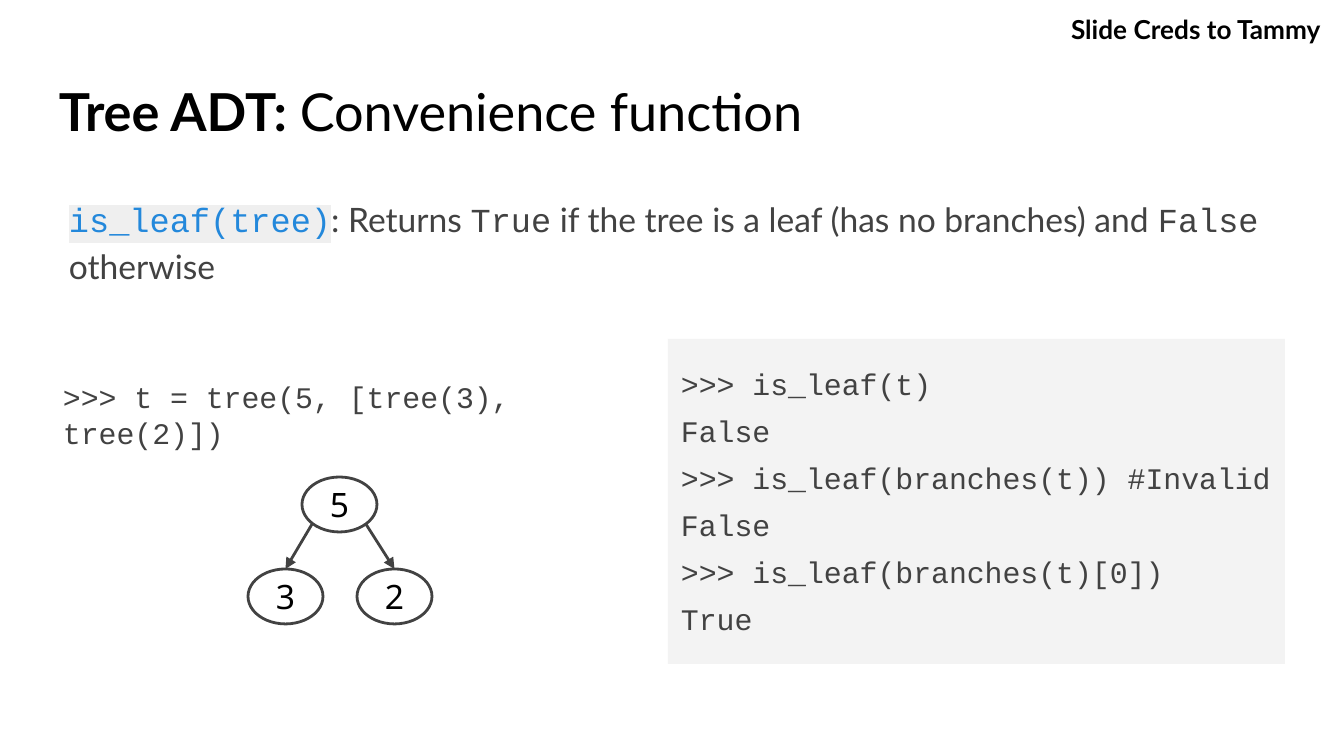
"""Build a slide that explains the is_leaf function of the tree ADT."""

from dataclasses import dataclass
from math import cos, pi, sin

from lxml import etree
from pptx import Presentation
from pptx.dml.color import RGBColor
from pptx.enum.shapes import MSO_CONNECTOR, MSO_SHAPE
from pptx.enum.text import MSO_ANCHOR, MSO_AUTO_SIZE, PP_ALIGN
from pptx.oxml.ns import qn
from pptx.shapes.autoshape import Shape
from pptx.slide import Slide
from pptx.util import Emu, Pt

ELLIPSE, RECTANGLE = MSO_SHAPE.OVAL, MSO_SHAPE.RECTANGLE
STRAIGHT = MSO_CONNECTOR.STRAIGHT
TOP, MIDDLE = MSO_ANCHOR.TOP, MSO_ANCHOR.MIDDLE
LEFT, CENTER = PP_ALIGN.LEFT, PP_ALIGN.CENTER
NO_AUTOFIT = MSO_AUTO_SIZE.NONE
TOP_SITE = 0
EMU_PER_PX = 914400 / 134.4
INSET = 13
NODE_WIDTH, NODE_HEIGHT = 75, 55


@dataclass(frozen=True)
class Theme:
    """Colours, fonts and type sizes of the slide."""

    black: str = "000000"
    gray: str = "424242"
    blue: str = "2388DB"
    panel: str = "F3F3F3"
    marker: str = "EFEFEF"
    sans: str = "Lato"
    mono: str = "Courier New"
    label: str = "Noto Sans"
    title_size: int = 28
    body_size: int = 18
    code_size: int = 16
    credit_size: int = 14
    line_width: float = 1.5


THEME = Theme()


@dataclass(frozen=True)
class Span:
    """A stretch of text in one format."""

    text: str
    font: str = THEME.sans
    color: str = THEME.gray
    size: int = THEME.body_size
    bold: bool = False
    highlight: str = ""


@dataclass(frozen=True)
class Box:
    """A rectangle in px."""

    left: int
    top: int
    width: int
    height: int

    def emu(self) -> tuple[Emu, Emu, Emu, Emu]:
        """Return the rectangle in EMU."""
        return px(self.left), px(self.top), px(self.width), px(self.height)


@dataclass(frozen=True)
class Node:
    """A tree node with its centre in px."""

    label: str
    x: int
    y: int


ROOT = Node("5", 339, 504)
LEAVES = (Node("3", 285, 596), Node("2", 394, 596))
TITLE = (
    Span("Tree ADT: ", color=THEME.black, size=THEME.title_size, bold=True),
    Span("Convenience function", color=THEME.black, size=THEME.title_size),
)
DEFINITION = (
    Span("is_leaf(tree)", font=THEME.mono, color=THEME.blue, highlight=THEME.marker),
    Span(": Returns "),
    Span("True", font=THEME.mono),
    Span(" if the tree is a leaf (has no branches) and "),
    Span("False", font=THEME.mono),
    Span(" otherwise"),
)
CREDIT = Span("Slide Creds to Tammy", color=THEME.black, size=THEME.credit_size, bold=True)
SETUP = (">>> t = tree(5, [tree(3), tree(2)])",)
SESSION = (
    ">>> is_leaf(t)",
    "False",
    ">>> is_leaf(branches(t)) #Invalid",
    "False",
    ">>> is_leaf(branches(t)[0])",
    "True",
)


def px(length: float) -> Emu:
    """Turn px into EMU."""
    return Emu(round(length * EMU_PER_PX))


def rgb(color: str) -> RGBColor:
    """Turn a hex string into a colour."""
    return RGBColor.from_string(color)


def write(shape: Shape, *lines: tuple[Span, ...], align: PP_ALIGN = LEFT,
          anchor: MSO_ANCHOR = TOP, before: int = 0, spacing: float = 1.0) -> None:
    """Write one paragraph for each line of spans."""
    frame = shape.text_frame
    frame.word_wrap, frame.auto_size = True, NO_AUTOFIT
    frame.vertical_anchor = anchor
    frame.margin_left = frame.margin_right = px(INSET)
    frame.margin_top = frame.margin_bottom = px(INSET)
    for index, spans in enumerate(lines):
        para = frame.add_paragraph() if index else frame.paragraphs[0]
        para.alignment, para.line_spacing = align, spacing
        para.space_before, para.space_after = Pt(before), Pt(0)
        for span in spans:
            run = para.add_run()
            run.text = span.text
            font = run.font
            font.name, font.size, font.bold = span.font, Pt(span.size), span.bold
            font.color.rgb = rgb(span.color)
            if span.highlight:
                highlight = etree.Element(qn("a:highlight"))
                etree.SubElement(highlight, qn("a:srgbClr"), val=span.highlight)
                run._r.rPr.find(qn("a:solidFill")).addnext(highlight)


def place(shape: Shape, box: Box) -> None:
    """Move and size a placeholder."""
    shape.left, shape.top, shape.width, shape.height = box.emu()


def remove_bullet(shape: Shape) -> None:
    """Take the bullet and indent off the first paragraph."""
    properties = shape.text_frame.paragraphs[0]._p.get_or_add_pPr()
    properties.set("marL", "0")
    properties.set("indent", "0")
    etree.SubElement(properties, qn("a:buNone"))


def write_code(shape: Shape, lines: tuple[str, ...]) -> None:
    """Write lines of code into a shape."""
    spans = [(Span(line, font=THEME.mono, size=THEME.code_size),) for line in lines]
    write(shape, *spans, anchor=MIDDLE, before=6)


def draw_node(page: Slide, node: Node) -> Shape:
    """Draw a tree node around its centre."""
    box = Box(node.x - NODE_WIDTH // 2, node.y - NODE_HEIGHT // 2, NODE_WIDTH, NODE_HEIGHT)
    shape = page.shapes.add_shape(ELLIPSE, *box.emu())
    shape.shadow.inherit = False
    shape.fill.background()
    shape.line.color.rgb = rgb(THEME.gray)
    shape.line.width = Pt(THEME.line_width)
    label = Span(node.label, font=THEME.label, color=THEME.black)
    write(shape, (label,), align=CENTER, anchor=MIDDLE)
    return shape


def draw_branch(page: Slide, parent: Node, child: Node, target: Shape) -> None:
    """Draw an arrow from the parent's lower edge to the child's top."""
    side = 1 if child.x > parent.x else -1
    x = parent.x + side * NODE_WIDTH / 2 * cos(pi / 4)
    y = parent.y + NODE_HEIGHT / 2 * sin(pi / 4)
    arrow = page.shapes.add_connector(STRAIGHT, px(x), px(y), px(child.x), px(child.y))
    arrow.end_connect(target, TOP_SITE)
    arrow.line.color.rgb = rgb(THEME.gray)
    arrow.line.width = Pt(THEME.line_width)
    etree.SubElement(arrow.line._get_or_add_ln(), qn("a:tailEnd"), type="triangle")
    etree.SubElement(arrow._element.spPr, qn("a:effectLst"))


def main() -> None:
    """Build and save the deck."""
    deck = Presentation()
    deck.slide_width, deck.slide_height = px(1344), px(756)
    page = deck.slides.add_slide(deck.slide_layouts[1])
    title, body = page.shapes.title, page.placeholders[1]
    place(title, Box(46, 66, 1253, 85))
    write(title, TITLE)
    place(body, Box(56, 180, 1239, 169))
    write(body, DEFINITION, spacing=1.15)
    remove_bullet(body)

    draw_node(page, ROOT)
    for leaf in LEAVES:
        draw_branch(page, ROOT, leaf, draw_node(page, leaf))

    setup = page.shapes.add_textbox(*Box(50, 383, 603, 63).emu())
    write_code(setup, SETUP)
    panel = page.shapes.add_shape(RECTANGLE, *Box(668, 339, 617, 325).emu())
    panel.shadow.inherit = False
    panel.fill.solid()
    panel.fill.fore_color.rgb = rgb(THEME.panel)
    panel.line.fill.background()
    write_code(panel, SESSION)
    credit = page.shapes.add_textbox(*Box(1058, 0, 286, 52).emu())
    write(credit, (CREDIT,))
    deck.save("out.pptx")


if __name__ == "__main__":
    main()
